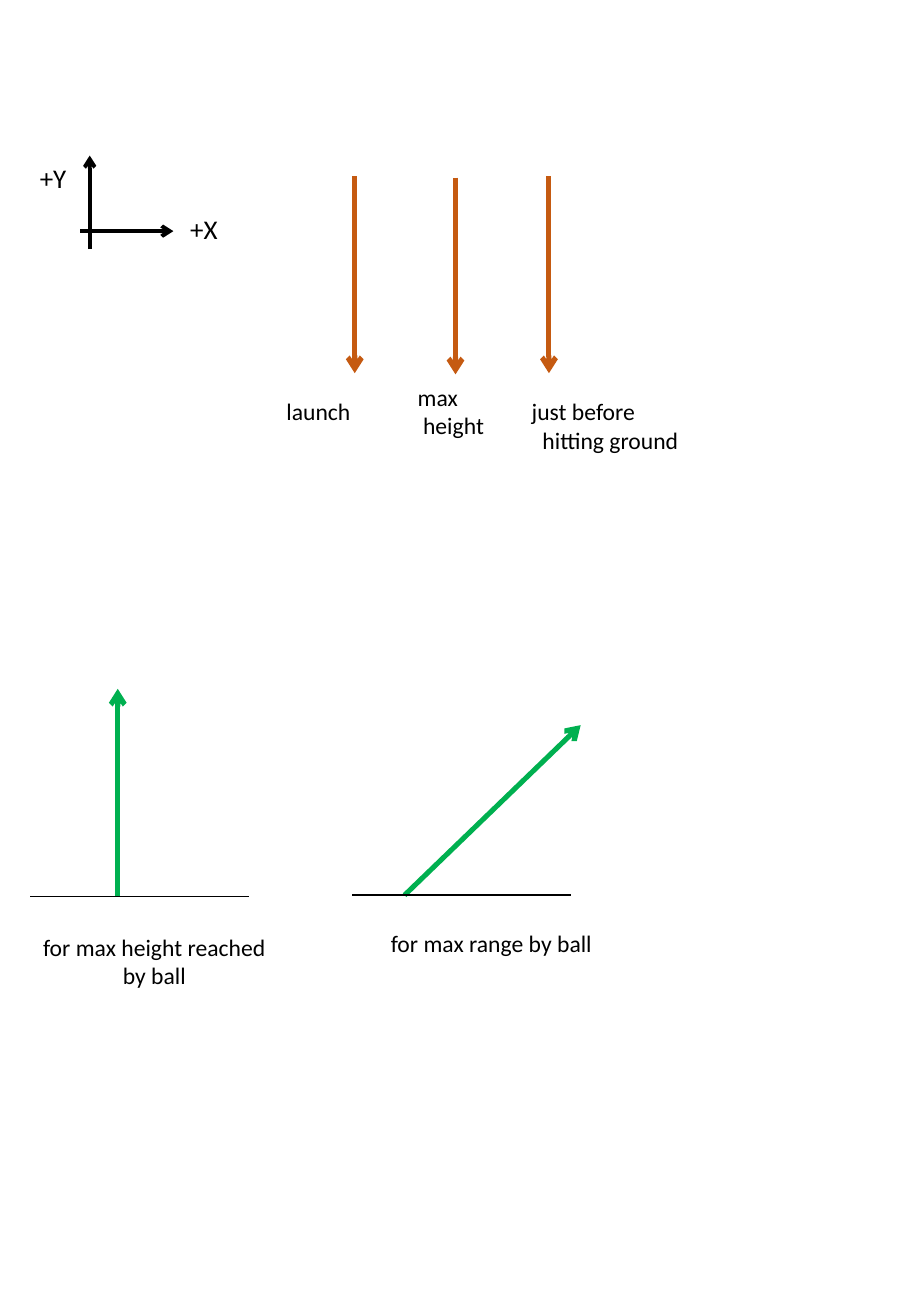
from lxml.etree import SubElement
from pptx import Presentation
from pptx.dml.color import RGBColor
from pptx.enum.shapes import MSO_CONNECTOR as Connector
from pptx.enum.text import MSO_AUTO_SIZE as AutoSize, PP_ALIGN as Align
from pptx.oxml.ns import qn
from pptx.util import Pt

BLACK, ORANGE, GREEN = "000000", "C55A11", "00B050"


def colour(hex_string):
    return RGBColor.from_string(hex_string)


def add_line(shapes, start, end, hex_string, weight, arrow=False):
    line = shapes.add_connector(Connector.STRAIGHT, *map(Pt, (*start, *end)))
    line.line.color.rgb = colour(hex_string)
    line.line.width = Pt(weight)
    if arrow:
        SubElement(line.line._get_or_add_ln(), qn("a:tailEnd"), type="arrow")
    SubElement(line._element.spPr, qn("a:effectLst"))


def add_label(shapes, box, lines, size=14, align=Align.LEFT, wrap=False):
    """Each line is a pair of its text and its left indent."""
    frame = shapes.add_textbox(*map(Pt, box)).text_frame
    frame.word_wrap = wrap
    frame.auto_size = AutoSize.SHAPE_TO_FIT_TEXT
    for number, (text, indent) in enumerate(lines):
        paragraph = frame.add_paragraph() if number else frame.paragraphs[0]
        paragraph.alignment = align
        if indent:
            paragraph._p.get_or_add_pPr().set("marL", str(Pt(indent)))
        run = paragraph.add_run()
        run.text = text
        run.font.color.rgb = colour(BLACK)
        for name, value in {"name": "Calibri", "size": Pt(size)}.items():
            setattr(run.font, name, value)


def add_axes(slide, left, top):
    shapes = slide.shapes.add_group_shape().shapes
    add_line(shapes, (left + 36.7, top + 55.4), (left + 36.7, top), BLACK, 2.25, True)
    add_line(shapes, (left + 31, top + 44.8), (left + 86.3, top + 44.8), BLACK, 2.25, True)
    add_label(shapes, (left, top, 30.2, 26.6), [("+Y", 0)], 16)
    add_label(shapes, (left + 89.2, top + 30.3, 31, 26.6), [("+X", 0)], 16)


def add_accelerations(slide, left, top):
    # Arrow offset (x, y), label box, label lines
    moments = [
        (47.6, 0, (0, 127.4, 52.6, 24.5), [("launch", 0)]),
        (107.3, 0.7, (77.8, 118.8, 54, 41), [("max", 0), ("height", 3.2)]),
        (162.7, 0, (145.4, 127.4, 103, 41), [("just before", 0), ("hitting ground", 6.4)]),
    ]
    for x, y, (label_x, label_y, *label_size), lines in moments:
        start = left + x, top + y
        add_line(slide.shapes, start, (start[0], start[1] + 116.6), ORANGE, 3, True)
        add_label(slide.shapes, (left + label_x, top + label_y, *label_size), lines)


def add_throw(slide, left, ground, foot, reach, label_box, text, **label_format):
    """Ground line, launch arrow from foot by reach, and the label below."""
    start = left + foot, ground
    label_x, label_y, *label_size = label_box
    add_line(slide.shapes, start, (start[0] + reach[0], ground - reach[1]), GREEN, 3, True)
    add_line(slide.shapes, (left, ground), (left + 129.6, ground), BLACK, 1)
    add_label(slide.shapes, (left + label_x, ground + label_y, *label_size),
              [(text, 0)], **label_format)


def main():
    deck = Presentation()
    deck.slide_width, deck.slide_height = Pt(540), Pt(780)
    slide = deck.slides.add_slide(deck.slide_layouts[6])

    # Axes and the acceleration at three moments
    add_axes(slide, 16.5, 92.2)
    add_accelerations(slide, 162.7, 104.6)

    # The two throws
    add_throw(slide, 18, 531.4, 51.8, (0, 123.1), (0, 18, 147, 41),
              "for max height reached by ball", align=Align.CENTER, wrap=True)
    add_throw(slide, 208.8, 530.6, 31, (104.4, 100.8), (15.8, 16.6, 134.6, 24.5),
              "for max range by ball")

    deck.save("out.pptx")


if __name__ == "__main__":
    main()
